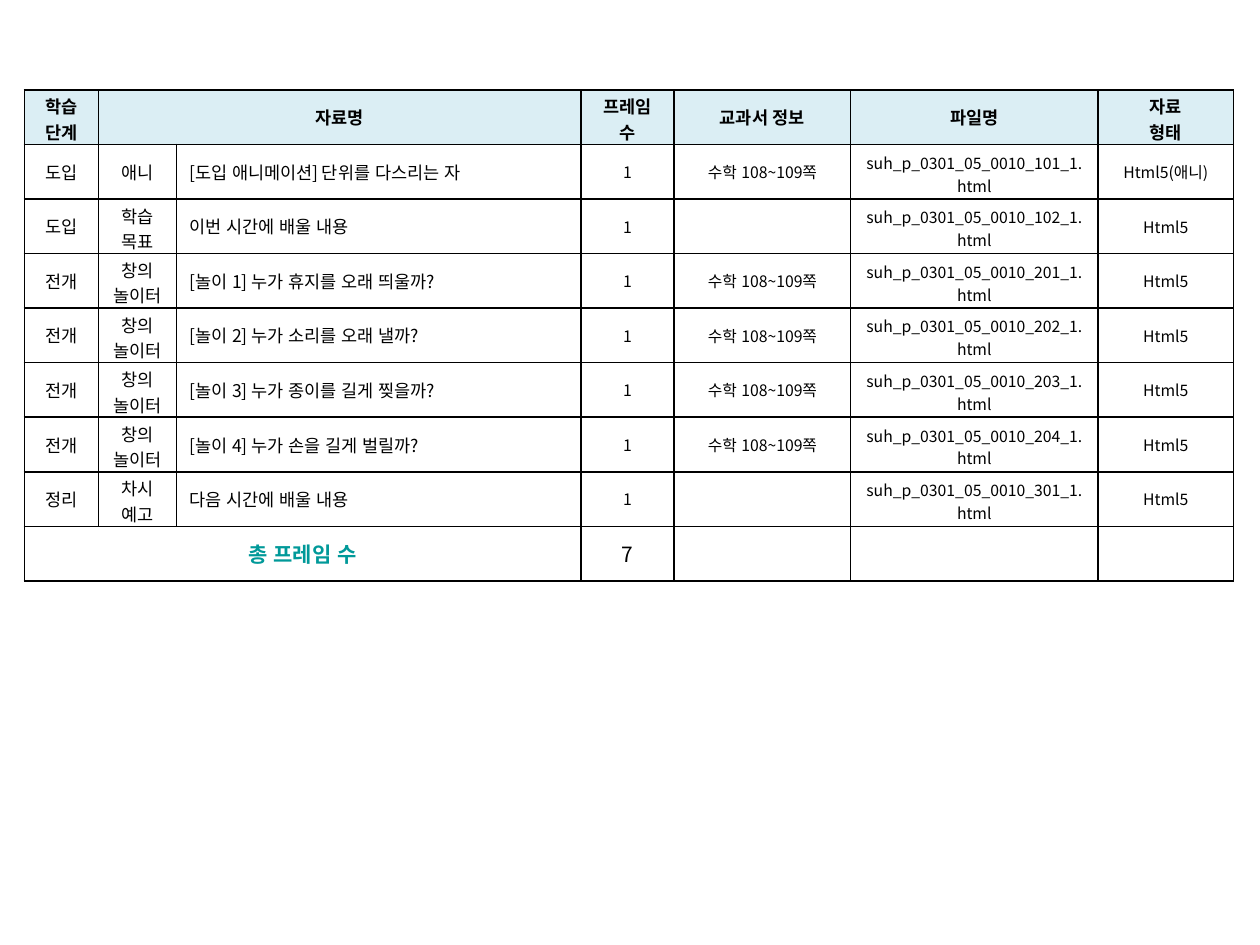
"""Build a slide with the lesson material table and its frame counts."""
from lxml.etree import SubElement
from pptx import Presentation
from pptx.dml.color import RGBColor
from pptx.enum.lang import MSO_LANGUAGE_ID
from pptx.enum.text import MSO_ANCHOR, PP_ALIGN
from pptx.oxml import parse_xml
from pptx.oxml.ns import nsdecls, qn
from pptx.util import Cm, Pt

FACE = "Noto Sans CJK KR"
COLORS = {"head": "DBEEF4", "text": "000000", "total": "009999", "line": "000000"}
WIDTHS = [1.5, 1.57, 8.15, 1.88, 3.56, 4.98, 2.74]
HEIGHT = 1.1
PAGES = "수학 108~109쪽"
PLAY = "창의\n놀이터"
HEAD = ["학습 단계", "자료명", "", "프레임 수", "교과서 정보", "파일명", "자료\n형태"]
TALL = {"학습 단계", "프레임 수", "자료\n형태", "학습 목표", PLAY, "차시 예고"}
ITEMS = [
    ("도입", "애니", "[도입 애니메이션] 단위를 다스리는 자", PAGES, "101", "Html5(애니)"),
    ("도입", "학습 목표", "이번 시간에 배울 내용", "", "102", "Html5"),
    ("전개", PLAY, "[놀이 1] 누가 휴지를 오래 띄울까?", PAGES, "201", "Html5"),
    ("전개", PLAY, "[놀이 2] 누가 소리를 오래 낼까?", PAGES, "202", "Html5"),
    ("전개", PLAY, "[놀이 3] 누가 종이를 길게 찢을까?", PAGES, "203", "Html5"),
    ("전개", PLAY, "[놀이 4] 누가 손을 길게 벌릴까?", PAGES, "204", "Html5"),
    ("정리", "차시 예고", "다음 시간에 배울 내용", "", "301", "Html5"),
]


def style(cell, size, bold, color):
    cell.vertical_anchor = MSO_ANCHOR.MIDDLE
    look = {"name": FACE, "size": Pt(size), "bold": bold,
            "language_id": MSO_LANGUAGE_ID.KOREAN}
    for para in cell.text_frame.paragraphs:
        para.alignment = PP_ALIGN.CENTER
        for font in [para.font] + [run.font for run in para.runs]:
            for key, value in look.items():
                setattr(font, key, value)
            font.color.rgb = RGBColor.from_string(COLORS[color])
        for run in para.runs:
            SubElement(run.font._element, qn("a:ea"), typeface=FACE)
        if not para.runs:
            SubElement(para._p, qn("a:endParaRPr"), sz=str(size * 100))


def border(cell):
    props = cell._tc.get_or_add_tcPr()
    for spot, side in enumerate(["lnL", "lnR", "lnT", "lnB"]):
        props.insert(spot, parse_xml(
            f'<a:{side} {nsdecls("a")} w="12700"><a:solidFill>'
            f'<a:srgbClr val="{COLORS["line"]}"/></a:solidFill></a:{side}>'))


deck = Presentation()
deck.slide_width, deck.slide_height = Cm(25.4), Cm(19.05)
slide = deck.slides.add_slide(deck.slide_layouts[6])

rows = [HEAD]
for stage, kind, title, pages, code, form in ITEMS:
    rows.append([stage, kind, title, "1", pages, f"suh_p_0301_05_0010_{code}_1.html", form])
rows.append(["총 프레임 수", "", "", str(len(ITEMS)), "", "", ""])
last = len(rows) - 1

frame = slide.shapes.add_table(len(rows), len(WIDTHS), Cm(0.49), Cm(1.81),
                               Cm(sum(WIDTHS)), Cm(HEIGHT * len(rows)))
table = frame.table
table.first_row = table.horz_banding = False
for col, width in zip(table.columns, WIDTHS):
    col.width = Cm(width)

for r, row in enumerate(rows):
    table.rows[r].height = Cm(HEIGHT)
    for c, text in enumerate(row):
        cell = table.cell(r, c)
        cell.text = text
        if r == 0:
            cell.fill.solid()
            cell.fill.fore_color.rgb = RGBColor.from_string(COLORS["head"])
            style(cell, 10, True, "text")
        elif r == last:
            style(cell, 12 if text else 9, c == 0, "total" if c == 0 else "text")
        else:
            style(cell, 10 if c < 3 else 9, False, "text")
            if c == 2:
                cell.text_frame.paragraphs[0].alignment = PP_ALIGN.LEFT
        if r:
            cell.fill.background()
        if text in TALL:
            cell.margin_top, cell.margin_bottom = Cm(0.08), Cm(0)
        elif text.endswith(".html"):
            cell.margin_bottom = Cm(0.04)
        if text == "프레임 수":
            cell.margin_left = cell.margin_right = Cm(0.3)
        border(cell)

table.cell(0, 1).merge(table.cell(0, 2))
table.cell(last, 0).merge(table.cell(last, 2))
deck.save("out.pptx")
